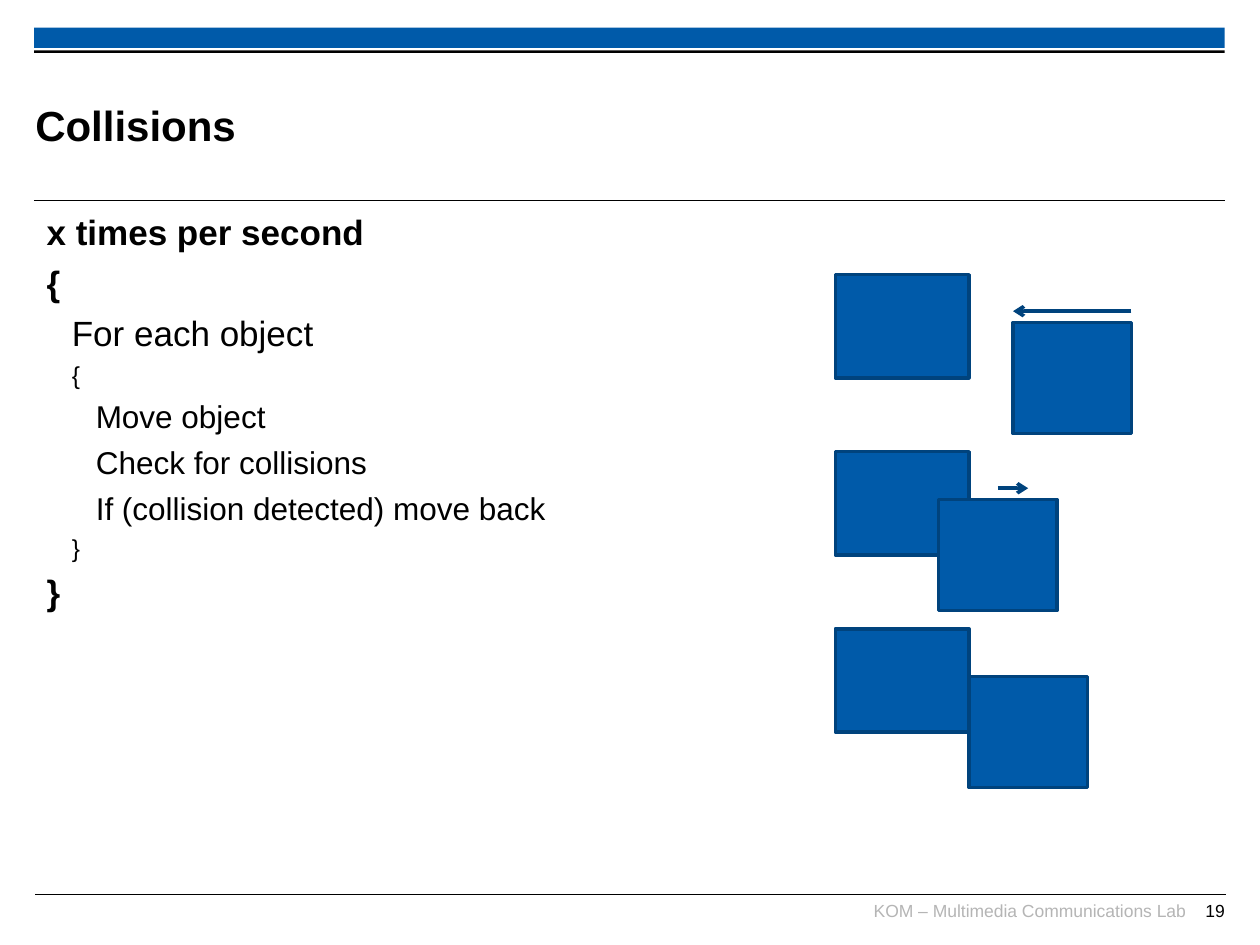
import pptx
import pptx.util
import pptx.dml.color
import pptx.enum.shapes
import pptx.enum.text
import pptx.oxml.ns
from dataclasses import dataclass
from lxml import etree
from pptx.util import Inches, Pt


@dataclass(frozen=True)
class Theme:
    font: str = "Arial"
    blue: str = "005AA9"
    edge: str = "00437D"
    black: str = "000000"
    gray: str = "B5B5B5"
    title: int = 24
    body: int = 20
    deep: int = 18
    brace: int = 14
    foot: int = 10


THEME = Theme()
ALIGN = pptx.enum.text.PP_ALIGN
INDENT = (0, 0.2, 0.39)

# Text, level, size, bold
CODE = [
    ("x times per second", 0, THEME.body, True),
    ("{", 0, THEME.body, True),
    ("For each object", 1, THEME.body, False),
    ("{", 1, THEME.brace, False),
    ("Move object", 2, THEME.deep, False),
    ("Check for collisions", 2, THEME.deep, False),
    ("If (collision detected) move back", 2, THEME.deep, False),
    ("}", 1, THEME.brace, False),
    ("}", 0, THEME.body, True),
]

# Left edge of the moving box, arrow start and end
SCENES = [(8.04, 8.98, 8.04), (7.45, 7.92, 8.16), (7.69, None, None)]


def color(code):
    return pptx.dml.color.RGBColor.from_string(code)


def add_tag(parent, name, **attrs):
    return etree.SubElement(parent, pptx.oxml.ns.qn(name), **attrs)


def place(shape, left, top, width, height):
    shape.left, shape.top = Inches(left), Inches(top)
    shape.width, shape.height = Inches(width), Inches(height)


def style(para, size, code=THEME.black, bold=False):
    for run in para.runs:
        font = run.font
        font.name, font.size, font.bold = THEME.font, Pt(size), bold
        font.color.rgb = color(code)


def clear_inset(frame):
    frame.margin_left = frame.margin_right = 0
    frame.margin_top = frame.margin_bottom = 0


def add_box(shapes, left, top, width, height, fill, edge=None):
    box = shapes.add_shape(pptx.enum.shapes.MSO_SHAPE.RECTANGLE, Inches(left),
                           Inches(top), Inches(width), Inches(height))
    box.shadow.inherit = False
    box.fill.solid()
    box.fill.fore_color.rgb = color(fill)
    if edge:
        box.line.color.rgb = color(edge)
        box.line.width = Pt(2)
    else:
        box.line.fill.background()


def add_line(shapes, start, end, top, code, width, arrow=False):
    line = shapes.add_connector(pptx.enum.shapes.MSO_CONNECTOR.STRAIGHT,
                                Inches(start), Inches(top), Inches(end), Inches(top))
    line.line.color.rgb = color(code)
    line.line.width = Pt(width)
    if arrow:
        add_tag(line.line._get_or_add_ln(), "a:tailEnd", type="arrow")
    add_tag(line._element.spPr, "a:effectLst")


def add_note(shapes, text, left, width, code):
    box = shapes.add_textbox(0, 0, 0, 0)
    place(box, left, 7.14, width, 0.25)
    frame = box.text_frame
    frame.word_wrap = True
    clear_inset(frame)
    para = frame.paragraphs[0]
    para.text = text
    para.alignment = ALIGN.RIGHT
    style(para, THEME.foot, code)


def add_frame(shapes):
    add_line(shapes, 0.28, 9.73, 7.1, THEME.black, 0.6)
    add_box(shapes, 0.27, 0.22, 9.45, 0.16, THEME.blue)
    add_line(shapes, 0.27, 9.72, 1.59, THEME.black, 0.6)
    add_box(shapes, 0.27, 0.4, 9.45, 0.02, THEME.black)
    add_note(shapes, "KOM – Multimedia Communications Lab", 6.41, 3, THEME.gray)
    add_note(shapes, "19", 9.29, 0.43, THEME.black)


def fill_title(title):
    place(title, 0.28, 0.53, 7.52, 0.92)
    frame = title.text_frame
    frame.text = "Collisions"
    frame.auto_size = pptx.enum.text.MSO_AUTO_SIZE.NONE
    frame.vertical_anchor = pptx.enum.text.MSO_ANCHOR.MIDDLE
    clear_inset(frame)
    para = frame.paragraphs[0]
    para.alignment = ALIGN.LEFT
    style(para, THEME.title, bold=True)


def fill_code(body):
    place(body, 0.27, 1.62, 9.45, 5.43)
    frame = body.text_frame
    frame.auto_size = pptx.enum.text.MSO_AUTO_SIZE.NONE
    for row, (text, level, size, bold) in enumerate(CODE):
        para = frame.add_paragraph() if row else frame.paragraphs[0]
        para.text = text
        para.level = level
        props = para._p.get_or_add_pPr()
        props.set("marL", str(Inches(INDENT[level])))
        props.set("indent", "0")
        add_tag(props, "a:buNone")
        para.space_before = Pt(size / 4 if row else 0)
        style(para, size, bold=bold)


def add_scenes(shapes):
    for row, (left, start, end) in enumerate(SCENES):
        top = 2.18 + 1.405 * row
        add_box(shapes, 6.63, top, 1.06, 0.82, THEME.blue, THEME.edge)
        add_box(shapes, left, top + 0.38, 0.94, 0.88, THEME.blue, THEME.edge)
        if start:
            add_line(shapes, start, end, top + 0.29, THEME.edge, 2, arrow=True)


def main():
    deck = pptx.Presentation()
    deck.slide_width, deck.slide_height = Inches(10), Inches(7.5)
    slide = deck.slides.add_slide(deck.slide_layouts[1])
    # Bars, rules and footer
    add_frame(slide.shapes)
    # Title and pseudocode
    fill_title(slide.shapes.title)
    fill_code(slide.placeholders[1])
    # Collision drawings
    add_scenes(slide.shapes.add_group_shape().shapes)
    deck.save("out.pptx")


if __name__ == "__main__":
    main()
